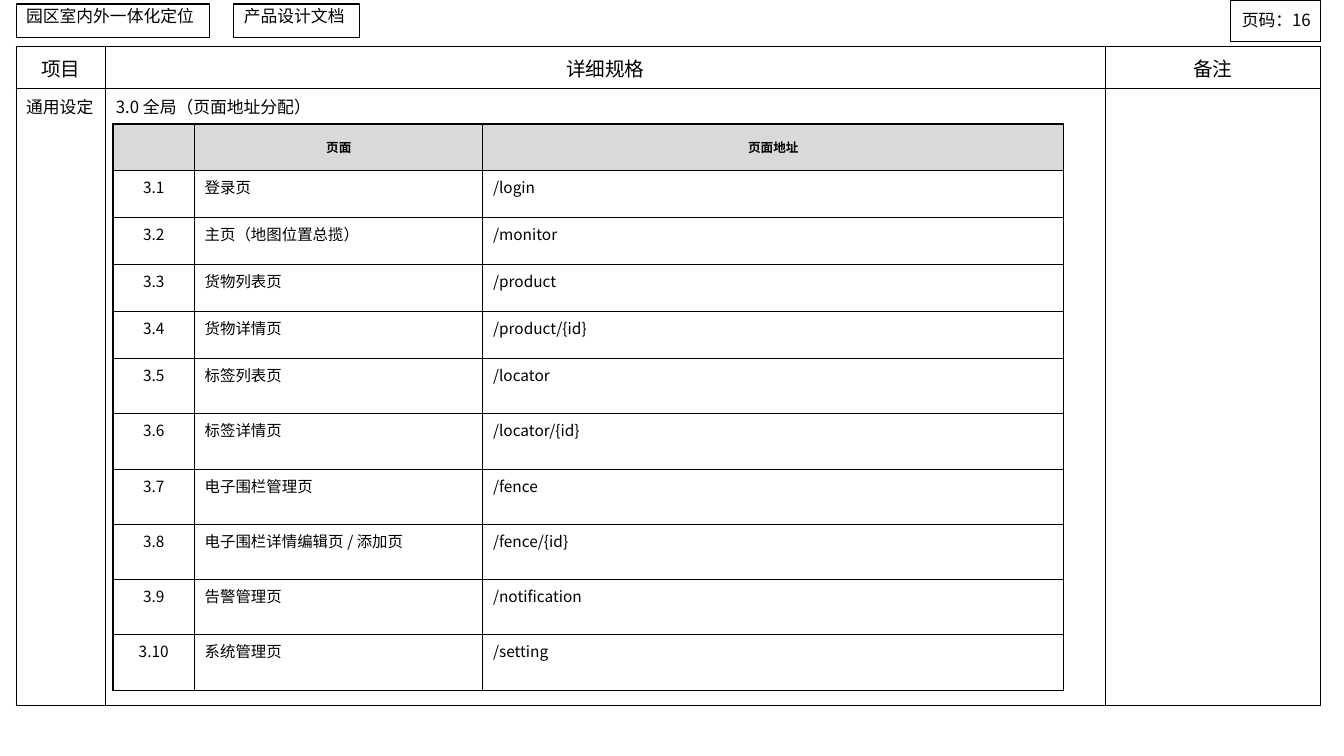
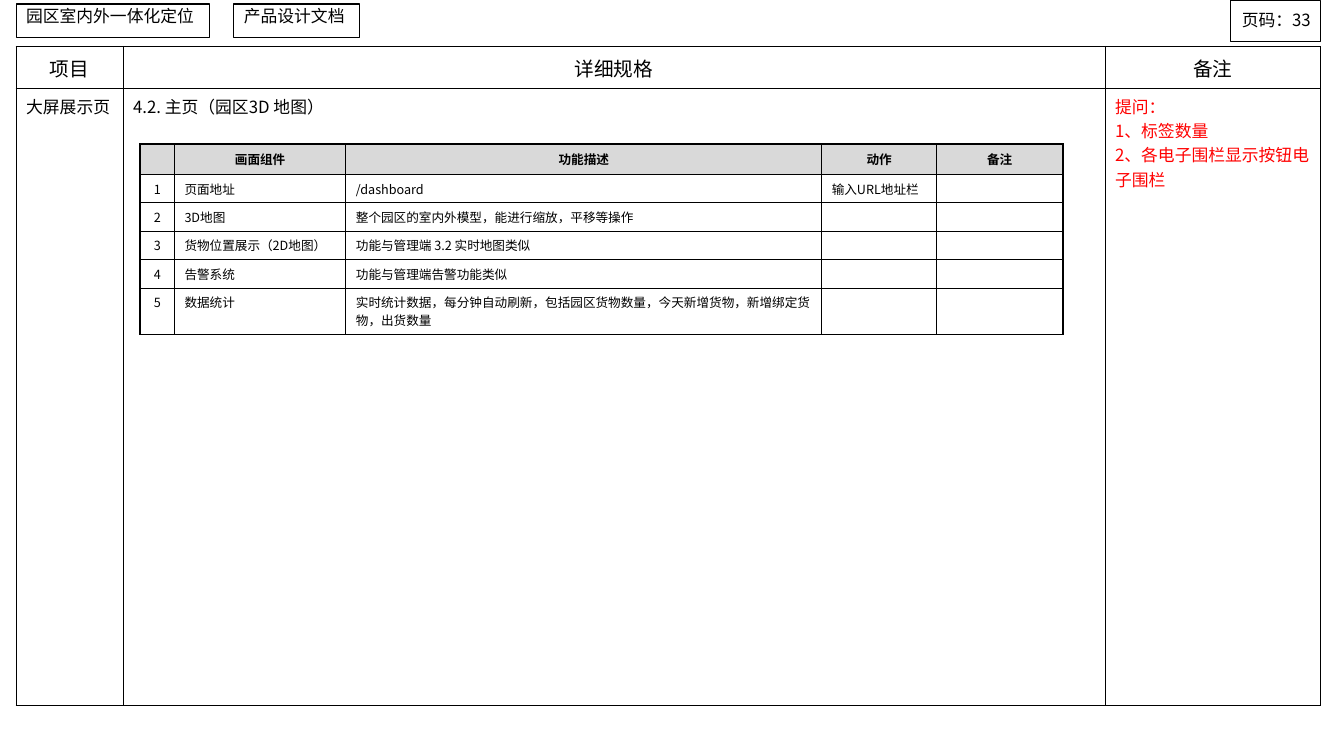
from dataclasses import dataclass

from lxml.etree import SubElement
from pptx import Presentation
from pptx.dml.color import RGBColor
from pptx.enum.shapes import MSO_SHAPE
from pptx.enum.text import MSO_ANCHOR, PP_ALIGN
from pptx.oxml import parse_xml
from pptx.oxml.ns import nsdecls, qn
from pptx.util import Inches, Pt


@dataclass(frozen=True)
class Theme:
    font: str = "Noto Sans CJK SC"
    ink: str = "000000"
    alert: str = "FF0000"
    paper: str = "FFFFFF"
    head_fill: str = "D9D9D9"
    title: int = 14
    body: int = 12
    listing: int = 11
    small: int = 9
    thin: float = 0.75
    thick: float = 1.5


T = Theme()
FRAME = (0.16, 0.46, 12.94, 6.54)
FRAME_HEADS = ["项目", "详细规格", "备注"]
HEAD_H = 0.42
NOTE_W = 2.14


def rgb(code):
    return RGBColor.from_string(code)


def write(tf, lines, size, color=T.ink, align=PP_ALIGN.LEFT, bold=False, spacing=None):
    tf.word_wrap = True
    for i, line in enumerate(lines):
        p = tf.paragraphs[0] if i == 0 else tf.add_paragraph()
        p.alignment = align
        if spacing:
            p.line_spacing = spacing
        r = p.add_run()
        r.text = line
        r.font.size = Pt(size)
        r.font.bold = bold
        r.font.color.rgb = rgb(color)
        r.font.name = T.font
        SubElement(r.font._element, qn("a:ea"), typeface=T.font)


def set_borders(cell, left=T.thin, right=T.thin, top=T.thin, bottom=T.thin):
    tc_pr = cell._tc.get_or_add_tcPr()
    for i, (side, width) in enumerate(zip("LRTB", (left, right, top, bottom))):
        tc_pr.insert(i, parse_xml(
            f'<a:ln{side} {nsdecls("a")} w="{Pt(width)}"><a:solidFill>'
            f'<a:srgbClr val="{T.ink}"/></a:solidFill></a:ln{side}>'))


def fill_cell(cell, lines, size, fill=T.paper, anchor=MSO_ANCHOR.TOP, **style):
    cell.fill.solid()
    cell.fill.fore_color.rgb = rgb(fill)
    cell.vertical_anchor = anchor
    if lines:
        write(cell.text_frame, lines, size, **style)
    else:
        # An empty cell keeps its row low only with an explicit type size.
        SubElement(cell.text_frame.paragraphs[0]._p, qn("a:endParaRPr"), sz=str(size * 100))


def add_grid(s, left, top, widths, heights):
    shape = s.shapes.add_table(len(heights), len(widths), Inches(left), Inches(top),
                               Inches(sum(widths)), Inches(sum(heights)))
    table = shape.table
    table.first_row = table.horz_banding = False
    for column, width in zip(table.columns, widths):
        column.width = Inches(width)
    for row, height in zip(table.rows, heights):
        row.height = Inches(height)
    return table


def add_box(s, box, text, align=PP_ALIGN.LEFT, anchor=MSO_ANCHOR.TOP):
    sp = s.shapes.add_shape(MSO_SHAPE.RECTANGLE, *map(Inches, box))
    sp.shadow.inherit = False
    sp.fill.background()
    sp.line.color.rgb = rgb(T.ink)
    sp.line.width = Pt(T.thin)
    sp.text_frame.vertical_anchor = anchor
    write(sp.text_frame, [text], T.body, align=align, spacing=0.83)


def add_frame(s, box, item_w, item, heading, notes):
    left, top, width, height = box
    table = add_grid(s, left, top, [item_w, width - item_w - NOTE_W, NOTE_W],
                     [HEAD_H, height - HEAD_H])
    contents = ([item], [heading], notes)
    for c, (head, lines) in enumerate(zip(FRAME_HEADS, contents)):
        fill_cell(table.cell(0, c), [head], T.title, align=PP_ALIGN.CENTER,
                  anchor=MSO_ANCHOR.MIDDLE)
        fill_cell(table.cell(1, c), lines, T.body, color=T.alert if c == 2 else T.ink)
        for r in range(2):
            set_borders(table.cell(r, c))


def add_spec_table(s, left, top, widths, heights, heads, rows, size, right=T.thin):
    """Numbered table with a grey head row and heavier outer edges."""
    table = add_grid(s, left, top, widths, heights)
    last = len(widths) - 1
    for r, row in enumerate([heads] + rows):
        for c, text in enumerate(row):
            cell = table.cell(r, c)
            lines = [text] if text else []
            if r == 0:
                fill_cell(cell, lines, T.small, T.head_fill, MSO_ANCHOR.MIDDLE,
                          align=PP_ALIGN.CENTER, bold=True)
            else:
                fill_cell(cell, lines, size,
                          align=PP_ALIGN.CENTER if c == 0 else PP_ALIGN.LEFT)
            set_borders(cell, left=T.thick if c == 0 else T.thin,
                        right=right if c == last else T.thin,
                        top=T.thick if r == 0 else T.thin)


def add_page(prs, number, item_w, item, heading, notes=()):
    s = prs.slides.add_slide(prs.slide_layouts[6])
    add_frame(s, FRAME, item_w, item, heading, notes)
    add_box(s, (0.16, 0.04, 1.92, 0.33), "园区室内外一体化定位")
    add_box(s, (2.32, 0.04, 1.25, 0.33), "产品设计文档")
    add_box(s, (12.2, 0.01, 0.9, 0.4), f"页码：{number}", PP_ALIGN.RIGHT, MSO_ANCHOR.MIDDLE)
    return s


def address_page(prs):
    s = add_page(prs, 16, 0.89, "通用设定", "3.0 全局（页面地址分配）")
    pages = [
        ("登录页", "/login"),
        ("主页（地图位置总揽）", "/monitor"),
        ("货物列表页", "/product"),
        ("货物详情页", "/product/{id}"),
        ("标签列表页", "/locator"),
        ("标签详情页", "/locator/{id}"),
        ("电子围栏管理页", "/fence"),
        ("电子围栏详情编辑页 / 添加页", "/fence/{id}"),
        ("告警管理页", "/notification"),
        ("系统管理页", "/setting"),
    ]
    rows = [(f"3.{i}", *page) for i, page in enumerate(pages, 1)]
    heights = [2.33 / 5] * 5 + [3.29 / 6] * 6
    add_spec_table(s, 1.12, 1.23, [0.81, 2.86, 5.76], heights,
                   ("", "页面", "页面地址"), rows, T.listing)


def dashboard_page(prs):
    s = add_page(prs, 33, 1.06, "大屏展示页", "4.2. 主页（园区3D 地图）",
                 ["提问：", "1、标签数量", "2、各电子围栏显示按钮电子围栏"])
    parts = [
        ("页面地址", "/dashboard", "输入URL地址栏"),
        ("3D地图", "整个园区的室内外模型，能进行缩放，平移等操作", ""),
        ("货物位置展示（2D地图）", "功能与管理端 3.2 实时地图类似", ""),
        ("告警系统", "功能与管理端告警功能类似", ""),
        ("数据统计", "实时统计数据，每分钟自动刷新，包括园区货物数量，"
         "今天新增货物，新增绑定货物，出货数量", ""),
    ]
    rows = [(str(i), *part, "") for i, part in enumerate(parts, 1)]
    add_spec_table(s, 1.39, 1.43, [0.34, 1.7, 4.72, 1.14, 1.25],
                   [0.3] + [0.28] * 4 + [0.46],
                   ("", "画面组件", "功能描述", "动作", "备注"), rows, T.small, right=T.thick)


def main():
    prs = Presentation()
    prs.slide_width, prs.slide_height = Inches(13.33), Inches(7.5)
    address_page(prs)
    dashboard_page(prs)
    prs.save("out.pptx")


if __name__ == "__main__":
    main()
